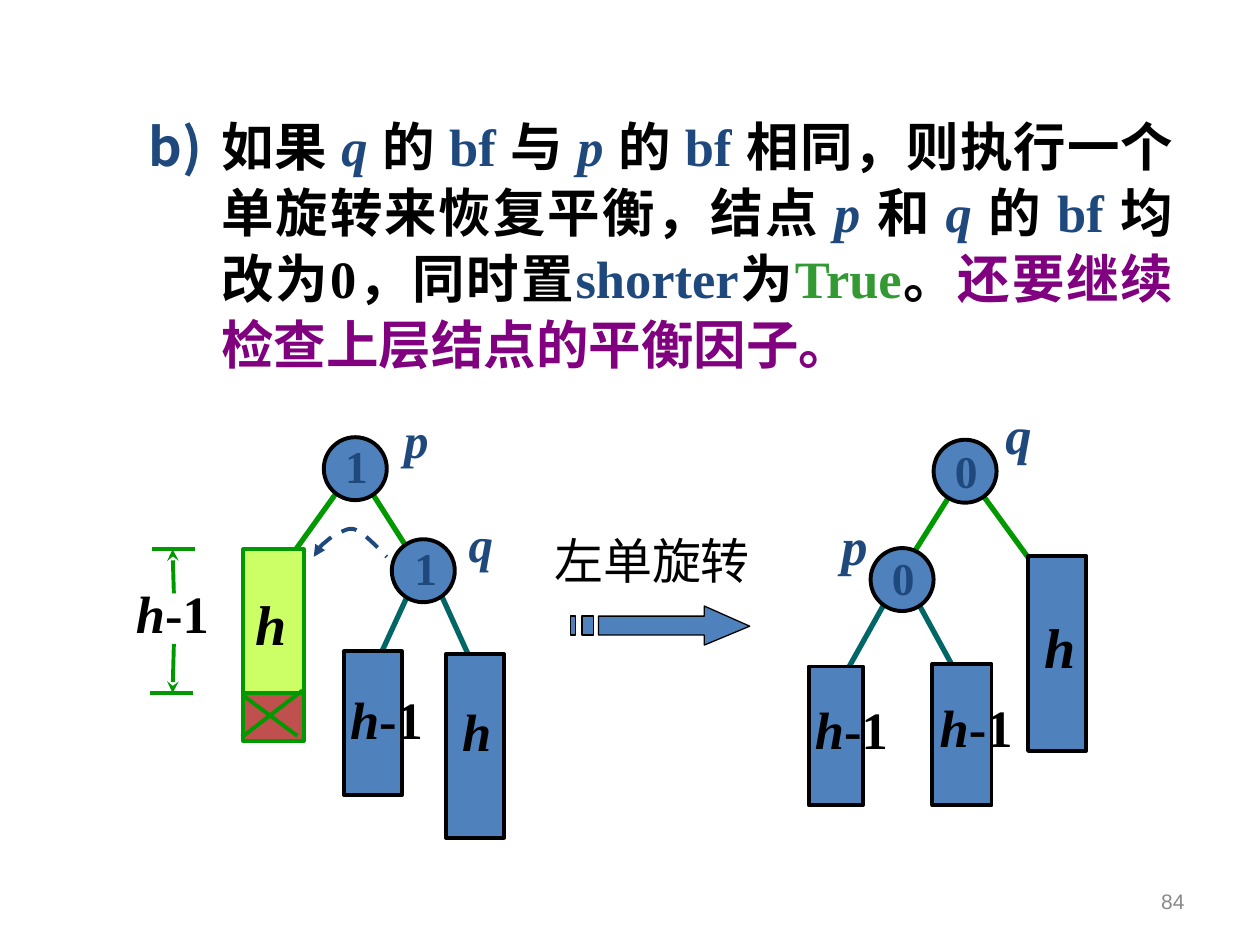
import dataclasses
import typing

import lxml.etree
import pptx
import pptx.dml.color
import pptx.enum.dml
import pptx.enum.shapes
import pptx.enum.text
import pptx.oxml.ns
import pptx.slide
import pptx.util

Inches = pptx.util.Inches
Pt = pptx.util.Pt
qn = pptx.oxml.ns.qn
Point = tuple[float, float]

BLACK, NAVY, BLUE, GREEN, TEAL = "000000", "1F497D", "4F81BD", "009900", "006666"
LIME, RED, PURPLE, LEAF, GREY = "CCFF66", "C0504D", "800080", "339933", "898989"
SERIF = "Times New Roman"
NODE_SIZE = 0.5


@dataclasses.dataclass
class Edge:
    start: Point
    end: Point
    color: str = TEAL
    weight: float = 3
    tail: str = ""


@dataclasses.dataclass
class Block:
    left: float
    top: float
    width: float
    height: float
    fill: str = BLUE
    outline: str = BLACK
    preset: int = pptx.enum.shapes.MSO_SHAPE.RECTANGLE


@dataclasses.dataclass
class Label:
    left: float
    top: float
    width: float
    height: float
    letter: str = ""
    digits: str = ""
    size: float = 30
    color: str = BLACK
    bold: bool = True
    font: str = SERIF
    wrap: bool = True
    align: int = pptx.enum.text.PP_ALIGN.LEFT
    anchor: int = pptx.enum.text.MSO_ANCHOR.TOP


def node(left: float, top: float) -> Block:
    return Block(left, top, NODE_SIZE, NODE_SIZE, preset=pptx.enum.shapes.MSO_SHAPE.OVAL)


def rgb(color: str) -> pptx.dml.color.RGBColor:
    return pptx.dml.color.RGBColor.from_string(color)


def style_outline(line: typing.Any, color: str, weight: float) -> None:
    line.color.rgb = rgb(color)
    line.width = Pt(weight)


def style_shape(shape: typing.Any, fill: str, outline: str, weight: float) -> None:
    shape.shadow.inherit = False
    shape.fill.solid()
    shape.fill.fore_color.rgb = rgb(fill)
    style_outline(shape.line, outline, weight)


def draw_edge(slide: pptx.slide.Slide, edge: Edge) -> None:
    connector = slide.shapes.add_connector(
        pptx.enum.shapes.MSO_CONNECTOR.STRAIGHT,
        *(Inches(value) for value in edge.start + edge.end))
    style_outline(connector.line, edge.color, edge.weight)
    properties = connector._element.spPr
    if edge.tail:
        lxml.etree.SubElement(properties.find(qn("a:ln")), qn("a:tailEnd"), type=edge.tail)
    lxml.etree.SubElement(properties, qn("a:effectLst"))


def draw_block(slide: pptx.slide.Slide, block: Block) -> None:
    shape = slide.shapes.add_shape(
        block.preset, Inches(block.left), Inches(block.top),
        Inches(block.width), Inches(block.height))
    style_shape(shape, block.fill, block.outline, 2.25)


def draw_label(slide: pptx.slide.Slide, label: Label) -> None:
    frame = slide.shapes.add_textbox(
        Inches(label.left), Inches(label.top),
        Inches(label.width), Inches(label.height)).text_frame
    frame.word_wrap = label.wrap
    frame.vertical_anchor = label.anchor
    paragraph = frame.paragraphs[0]
    paragraph.alignment = label.align
    paragraph.font.name = label.font
    paragraph.font.size = Pt(label.size)
    paragraph.font.bold = label.bold
    paragraph.font.color.rgb = rgb(label.color)
    for text, italic in ((label.letter, True), (label.digits, False)):
        if text:
            run = paragraph.add_run()
            run.text = text
            run.font.italic = italic


def draw_rule(slide: pptx.slide.Slide) -> None:
    frame = slide.shapes.add_textbox(
        Inches(0.58), Inches(0.83), Inches(8.83), Inches(2.44)).text_frame
    frame.word_wrap = True
    paragraph = frame.paragraphs[0]
    paragraph.alignment = pptx.enum.text.PP_ALIGN.JUSTIFY
    paragraph.line_spacing = 1.05
    properties = paragraph._p.get_or_add_pPr()
    properties.set("marL", str(Inches(1.08)))
    properties.set("indent", str(Inches(-0.58)))
    bullet_color = lxml.etree.SubElement(properties, qn("a:buClr"))
    lxml.etree.SubElement(bullet_color, qn("a:srgbClr"), val=NAVY)
    lxml.etree.SubElement(properties, qn("a:buAutoNum"), type="alphaLcParenR", startAt="2")
    paragraph.font.name = SERIF
    paragraph.font.size = Pt(30)
    paragraph.font.bold = True
    for text, color in (
            ("如果 ", BLACK), ("q ", NAVY), ("的 ", BLACK), ("bf ", NAVY), ("与 ", BLACK),
            ("p ", NAVY), ("的 ", BLACK), ("bf ", NAVY),
            ("相同，则执行一个单旋转来恢复平衡，结点 ", BLACK), ("p ", NAVY), ("和 ", BLACK),
            ("q ", NAVY), ("的 ", BLACK), ("bf ", NAVY), ("均改为0，同时置", BLACK),
            ("shorter", NAVY), ("为", BLACK), ("True", LEAF), ("。", BLACK),
            ("还要继续检查上层结点的平衡因子。", PURPLE)):
        run = paragraph.add_run()
        run.text = text
        run.font.color.rgb = rgb(color)
        run.font.italic = text in ("p ", "q ")


def to_emu(points: typing.Iterable[Point]) -> list[tuple[int, int]]:
    return [(Inches(x), Inches(y)) for x, y in points]


def draw_rotation_arrow(slide: pptx.slide.Slide) -> None:
    top, bottom = 4.89, 5.04
    head = [(5.59, 4.81), (5.59, top), (4.75, top), (4.75, bottom),
            (5.59, bottom), (5.59, 5.12), (5.95, 4.97)]
    bars = [[(left, top), (left, bottom), (right, bottom), (right, top)]
            for left, right in ((4.62, 4.71), (4.53, 4.57))]
    outline = to_emu(head)
    builder = slide.shapes.build_freeform(*outline[0])
    builder.add_line_segments(outline[1:], close=True)
    for bar in map(to_emu, bars):
        builder.move_to(*bar[0])
        builder.add_line_segments(bar[1:], close=True)
    style_shape(builder.convert_to_shape(), BLUE, BLACK, 0.75)


def bezier(corners: typing.Sequence[Point], steps: int = 8) -> list[Point]:
    def at(t: float, axis: int) -> float:
        a, b, c, d = (corner[axis] for corner in corners)
        return (1 - t) ** 3 * a + 3 * (1 - t) ** 2 * t * b + 3 * (1 - t) * t ** 2 * c + t ** 3 * d
    return [(at(i / steps, 0), at(i / steps, 1)) for i in range(1, steps + 1)]


def draw_turn(slide: pptx.slide.Slide) -> None:
    controls = [(2.49, 4.42), (2.51, 4.39), (2.53, 4.35), (2.56, 4.32), (2.6, 4.29),
                (2.66, 4.23), (2.71, 4.22), (2.76, 4.2), (2.79, 4.18), (2.85, 4.22),
                (2.91, 4.25), (3.04, 4.39), (3.07, 4.42)]
    curve = [point for i in range(0, 12, 3) for point in bezier(controls[i:i + 4])]
    builder = slide.shapes.build_freeform(*to_emu(controls[:1])[0])
    builder.add_line_segments(to_emu(curve), close=False)
    turn = builder.convert_to_shape()
    turn.shadow.inherit = False
    turn.fill.background()
    style_outline(turn.line, NAVY, 2.25)
    turn.line.dash_style = pptx.enum.dml.MSO_LINE.DASH
    lxml.etree.SubElement(turn._element.spPr.find(qn("a:ln")), qn("a:headEnd"), type="triangle")


BRANCHES = [
    Edge((7.07, 4.7), (6.65, 5.45)), Edge((7.24, 4.7), (7.65, 5.45)),
    Edge((7.66, 3.74), (7.08, 4.66), GREEN), Edge((7.72, 3.82), (8.39, 4.74), GREEN),
    Edge((3.46, 4.63), (3.8, 5.38)), Edge((3.33, 4.52), (2.99, 5.26)),
    Edge((2.83, 3.72), (3.41, 4.63), GREEN), Edge((2.75, 3.8), (2.09, 4.72), GREEN),
]
NODES_AND_SUBTREES = [
    node(7.41, 3.49), node(6.91, 4.35), node(2.57, 3.47), node(3.11, 4.28),
    Block(6.42, 5.29, 0.43, 1.1), Block(7.4, 5.27, 0.47, 1.12), Block(8.16, 4.41, 0.46, 1.55),
    Block(2.73, 5.17, 0.46, 1.14), Block(3.54, 5.19, 0.46, 1.46),
    Block(1.93, 4.36, 0.48, 1.5, LIME, GREEN), Block(1.93, 5.5, 0.48, 0.38, RED, GREEN),
]
DELETION_AND_HEIGHT = [Edge(*ends, GREEN, 2.25, tail) for *ends, tail in (
    ((2.4, 5.48), (1.92, 5.85), ""), ((1.93, 5.52), (2.36, 5.84), ""),
    ((1.19, 5.5), (1.53, 5.5), ""), ((1.21, 4.36), (1.55, 4.36), ""),
    ((1.38, 5.11), (1.37, 5.5), "stealth"), ((1.38, 4.71), (1.37, 4.36), "stealth"))]
LABELS = [
    *(Label(left, top, 0.58, 0.54, digits=factor, size=26, color=NAVY)
      for left, top, factor in ((6.98, 4.32, "0"), (7.48, 3.47, "0"),
                                (2.64, 3.43, "1"), (3.19, 4.24, "1"))),
    *(Label(left, top, 0.52, 0.6, name, size=size, color=NAVY)
      for left, top, name, size in ((6.58, 4.02, "p", 30), (7.88, 3.14, "q", 30),
                                    (3.11, 3.2, "p", 28), (3.62, 4.03, "q", 28))),
    *(Label(left, top, 0.83, 0.6, "h", "-1")
      for left, top in ((7.36, 5.47), (6.37, 5.48), (2.68, 5.4), (0.98, 4.56))),
    Label(8.19, 4.81, 0.42, 0.64, "h", size=32), Label(1.93, 4.63, 0.51, 0.64, "h", size=32),
    Label(3.57, 5.5, 0.42, 0.6, "h"),
    Label(4.3, 4.16, 1.75, 0.57, digits="左单旋转", size=28, bold=False, wrap=False),
    Label(7.17, 6.95, 2.33, 0.4, digits="84", size=12, color=GREY, bold=False, font="Arial",
          align=pptx.enum.text.PP_ALIGN.RIGHT, anchor=pptx.enum.text.MSO_ANCHOR.MIDDLE),
]


def main() -> None:
    deck = pptx.Presentation()
    deck.slide_width, deck.slide_height = Inches(10), Inches(7.5)
    slide = deck.slides.add_slide(deck.slide_layouts[6])
    draw_rule(slide)
    draw_rotation_arrow(slide)
    draw_turn(slide)
    for draw, parts in ((draw_edge, BRANCHES), (draw_block, NODES_AND_SUBTREES),
                        (draw_edge, DELETION_AND_HEIGHT), (draw_label, LABELS)):
        for part in parts:
            draw(slide, part)
    deck.save("out.pptx")


if __name__ == "__main__":
    main()
